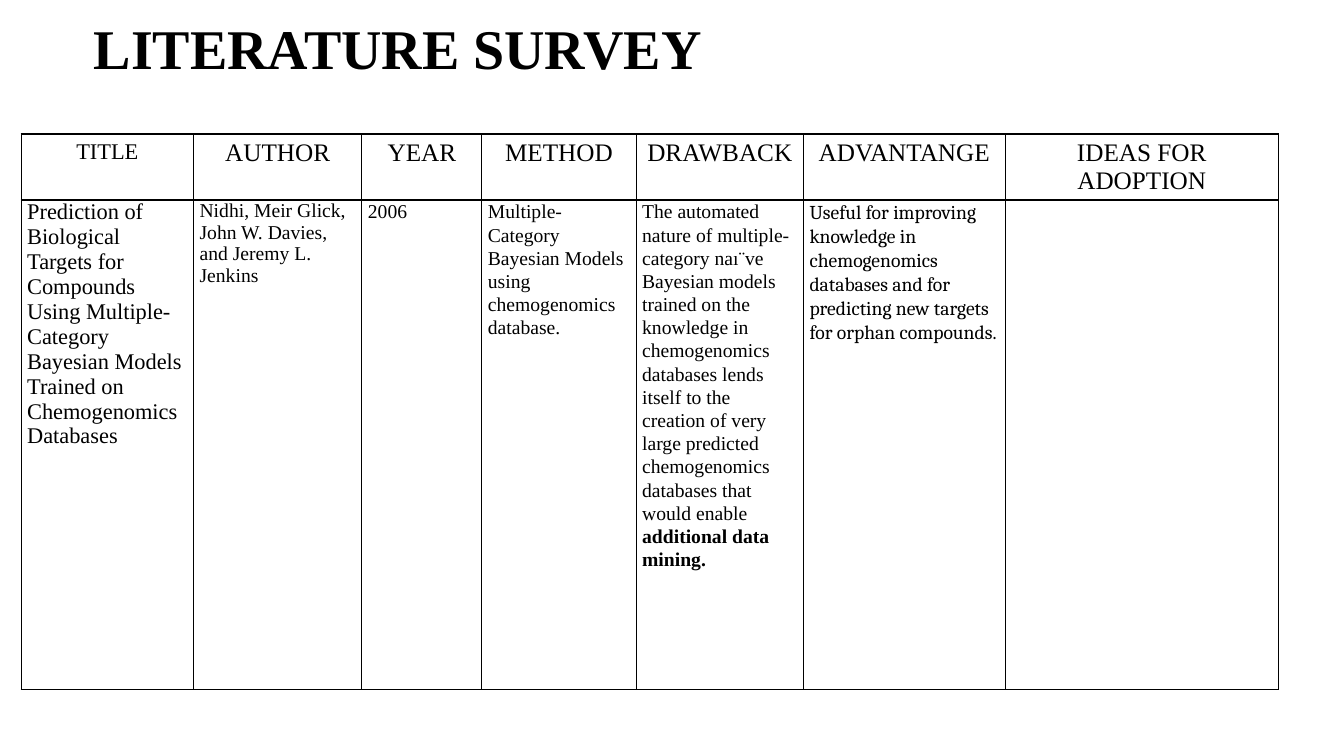
"""Build the literature survey slide."""
from lxml import etree
from pptx import Presentation
from pptx.dml.color import RGBColor
from pptx.enum.text import MSO_ANCHOR, PP_ALIGN
from pptx.oxml.ns import qn
from pptx.util import Inches, Pt

CENTER, LEFT = PP_ALIGN.CENTER, PP_ALIGN.LEFT
MIDDLE, TOP = MSO_ANCHOR.MIDDLE, MSO_ANCHOR.TOP
SERIF, BODY = "Times New Roman", "Cambria"
BLACK = "000000"

COL_WIDTHS = [1.71, 1.67, 1.19, 1.53, 1.66, 2, 2.71]
ROW_HEIGHTS = [0.65, 4.86]
HEADERS = [("TITLE", 16), ("AUTHOR", 18), ("YEAR", 18), ("METHOD", 18),
           ("DRAWBACK", 18), ("ADVANTANGE", 18), ("IDEAS FOR ADOPTION", 18)]
PAPER = [
    ([("Prediction of Biological Targets for Compounds Using "
       "Multiple-Category Bayesian Models Trained on Chemogenomics "
       "Databases", False)], 16, SERIF, None),
    ([("Nidhi, Meir Glick, John W. Davies, and Jeremy L. Jenkins", False)],
     14, SERIF, None),
    ([("2006", False)], 14, SERIF, 1.07),
    ([("Multiple-Category Bayesian Models using chemogenomics database.",
       False)], 14, SERIF, 1.07),
    ([("The automated nature of multiple-category na\u0131\u00a8ve Bayesian "
       "models trained on the knowledge in chemogenomics databases lends "
       "itself to the creation of very large predicted chemogenomics "
       "databases that would enable ", False),
      ("additional data mining.", True)], 14, SERIF, 1.07),
    ([("Useful for improving knowledge in chemogenomics databases and for "
       "predicting new targets for orphan compounds.", False)],
     14, BODY, 1.07),
    ([], 14, SERIF, None),
]


def rgb(color):
    """Turn a hex string into a colour."""
    return RGBColor.from_string(color)


def add_run(p, text, size, font=SERIF, bold=False):
    """Add one formatted run to a paragraph."""
    r = p.add_run()
    r.text = text
    r.font.size = Pt(size)
    r.font.name = font
    r.font.bold = bold
    r.font.color.rgb = rgb(BLACK)


def add_title(s, text):
    """Place and fill the title placeholder."""
    sp = s.shapes.title
    sp.left, sp.top = Inches(0.83), Inches(0.07)
    sp.width, sp.height = Inches(10.33), Inches(0.88)
    tf = sp.text_frame
    tf.word_wrap = True
    tf.vertical_anchor = MIDDLE
    p = tf.paragraphs[0]
    p.alignment = LEFT
    p.line_spacing = 0.9
    add_run(p, text, 40, bold=True)


def set_borders(cell, color, width):
    """Draw a solid line on all four sides of a cell."""
    tc_pr = cell._tc.get_or_add_tcPr()
    for i, side in enumerate(("a:lnL", "a:lnR", "a:lnT", "a:lnB")):
        ln = etree.Element(qn(side), w=str(Pt(width)))
        fill = etree.SubElement(ln, qn("a:solidFill"))
        etree.SubElement(fill, qn("a:srgbClr"), val=color)
        tc_pr.insert(i, ln)


def fill_cell(cell, runs, size, font, spacing, align, inset_x, inset_y):
    """Format a cell and write its runs."""
    cell.fill.background()
    set_borders(cell, BLACK, 1)
    cell.margin_left = cell.margin_right = Inches(inset_x)
    cell.margin_top = cell.margin_bottom = Inches(inset_y)
    cell.vertical_anchor = TOP
    p = cell.text_frame.paragraphs[0]
    p.alignment = align
    if spacing:
        p.line_spacing = spacing
    for text, bold in runs:
        add_run(p, text, size, font, bold)


def add_survey_table(s):
    """Add the survey table with its header and paper rows."""
    frame = s.shapes.add_table(
        len(ROW_HEIGHTS), len(COL_WIDTHS), Inches(0.21), Inches(1.33),
        Inches(sum(COL_WIDTHS)), Inches(sum(ROW_HEIGHTS)))
    table = frame.table
    table.horz_banding = table.first_row = False
    for col, width in zip(table.columns, COL_WIDTHS):
        col.width = Inches(width)
    for row, height in zip(table.rows, ROW_HEIGHTS):
        row.height = Inches(height)
    for c, (text, size) in enumerate(HEADERS):
        fill_cell(table.cell(0, c), [(text, False)], size, SERIF, None,
                  CENTER, 0.07, 0.05)
    for c, (runs, size, font, spacing) in enumerate(PAPER):
        fill_cell(table.cell(1, c), runs, size, font, spacing,
                  LEFT, 0.06, 0)


def main():
    """Create the presentation and save it."""
    prs = Presentation()
    prs.slide_width, prs.slide_height = Inches(13.33), Inches(7.5)
    s = prs.slides.add_slide(prs.slide_layouts[5])
    add_title(s, "LITERATURE SURVEY ")
    add_survey_table(s)
    prs.save("out.pptx")


main()
